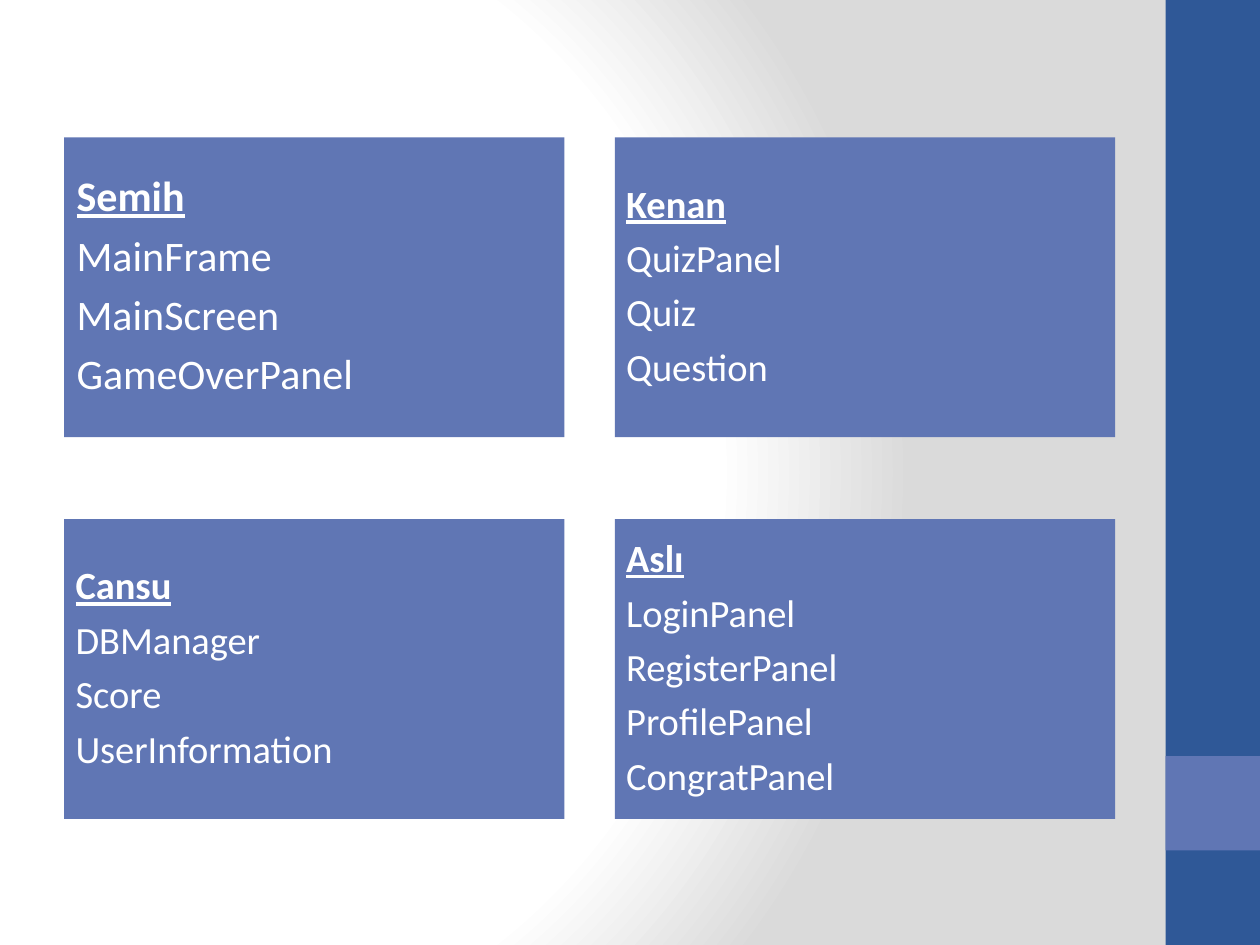
from dataclasses import dataclass

from pptx import Presentation
from pptx.dml.color import RGBColor
from pptx.enum.shapes import MSO_SHAPE
from pptx.enum.text import MSO_ANCHOR, PP_ALIGN
from pptx.oxml import parse_xml
from pptx.oxml.ns import nsdecls
from pptx.util import Inches, Pt


@dataclass
class Theme:
    """Colours, font and type sizes of the slide."""
    band: str = "2F5897"
    card: str = "6076B4"
    text: str = "FFFFFF"
    light: str = "FFFFFF"
    shade: str = "DADADA"
    font: str = "Calibri"
    large: int = 24
    normal: int = 22


theme = Theme()

deck = Presentation()
deck.slide_width, deck.slide_height = Inches(10), Inches(7.5)
page = deck.slides.add_slide(deck.slide_layouts[6])


def add_block(left, top, width, height, colour):
    """Add a flat rectangle, measured in inches, and return it."""
    box = page.shapes.add_shape(
        MSO_SHAPE.RECTANGLE, Inches(left), Inches(top), Inches(width), Inches(height))
    box.shadow.inherit = False
    box.fill.solid()
    box.fill.fore_color.rgb = RGBColor.from_string(colour)
    box.line.fill.background()
    return box


# Radial background, light at the left
stops = "".join(
    f'<a:gs pos="{position * 1000}"><a:srgbClr val="{colour}"/></a:gs>'
    for position, colour in [(0, theme.light), (75, theme.light), (100, theme.shade)])
background = parse_xml(
    f'<p:bg {nsdecls("p", "a")}><p:bgPr><a:gradFill rotWithShape="1">'
    f'<a:gsLst>{stops}</a:gsLst><a:path path="circle">'
    '<a:fillToRect l="20000" t="50000" r="100000" b="50000"/></a:path>'
    '</a:gradFill><a:effectLst/></p:bgPr></p:bg>')
page.element.cSld.insert(0, background)

# Side band with its accent
add_block(9.25, 0, 0.75, 7.5, theme.band)
add_block(9.25, 6, 0.75, 0.75, theme.card)

# Team members and their classes, two cards to a row
members = [
    ("Semih", theme.large, 0.1, ["MainFrame", "MainScreen", "GameOverPanel"]),
    ("Kenan", theme.normal, 0.09, ["QuizPanel", "Quiz", "Question"]),
    ("Cansu", theme.normal, 0.09, ["DBManager", "Score", "UserInformation"]),
    ("Aslı", theme.normal, 0.09,
     ["LoginPanel", "RegisterPanel", "ProfilePanel", "CongratPanel"]),
]
card_width, card_height = 3.97, 2.38
column_step, row_step = 4.37, 3.03

for index, (name, size, inset, classes) in enumerate(members):
    row, column = divmod(index, 2)
    card = add_block(0.51 + column * column_step, 1.09 + row * row_step,
                     card_width, card_height, theme.card)
    frame = card.text_frame
    frame.word_wrap = True
    frame.vertical_anchor = MSO_ANCHOR.MIDDLE
    frame.margin_left = frame.margin_right = Inches(inset)
    frame.margin_top = frame.margin_bottom = Inches(inset)
    frame.text = "\n".join([name, *classes])
    for number, para in enumerate(frame.paragraphs):
        para.alignment = PP_ALIGN.LEFT
        para.line_spacing = 0.9
        para.space_after = Pt(size / 3)
        for span in para.runs:
            span.font.name = theme.font
            span.font.size = Pt(size)
            span.font.color.rgb = RGBColor.from_string(theme.text)
            span.font.bold = span.font.underline = number == 0

deck.save("out.pptx")
